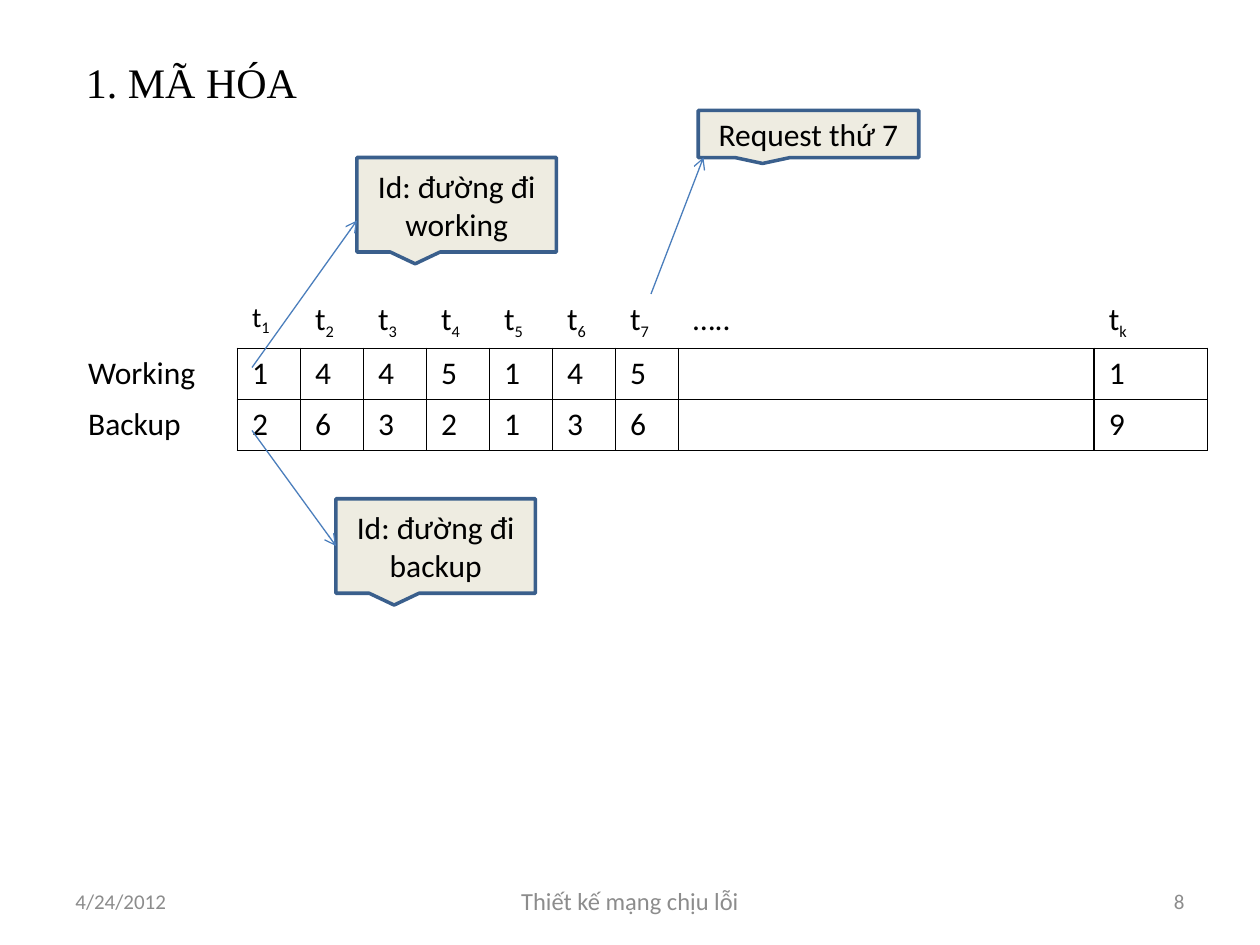
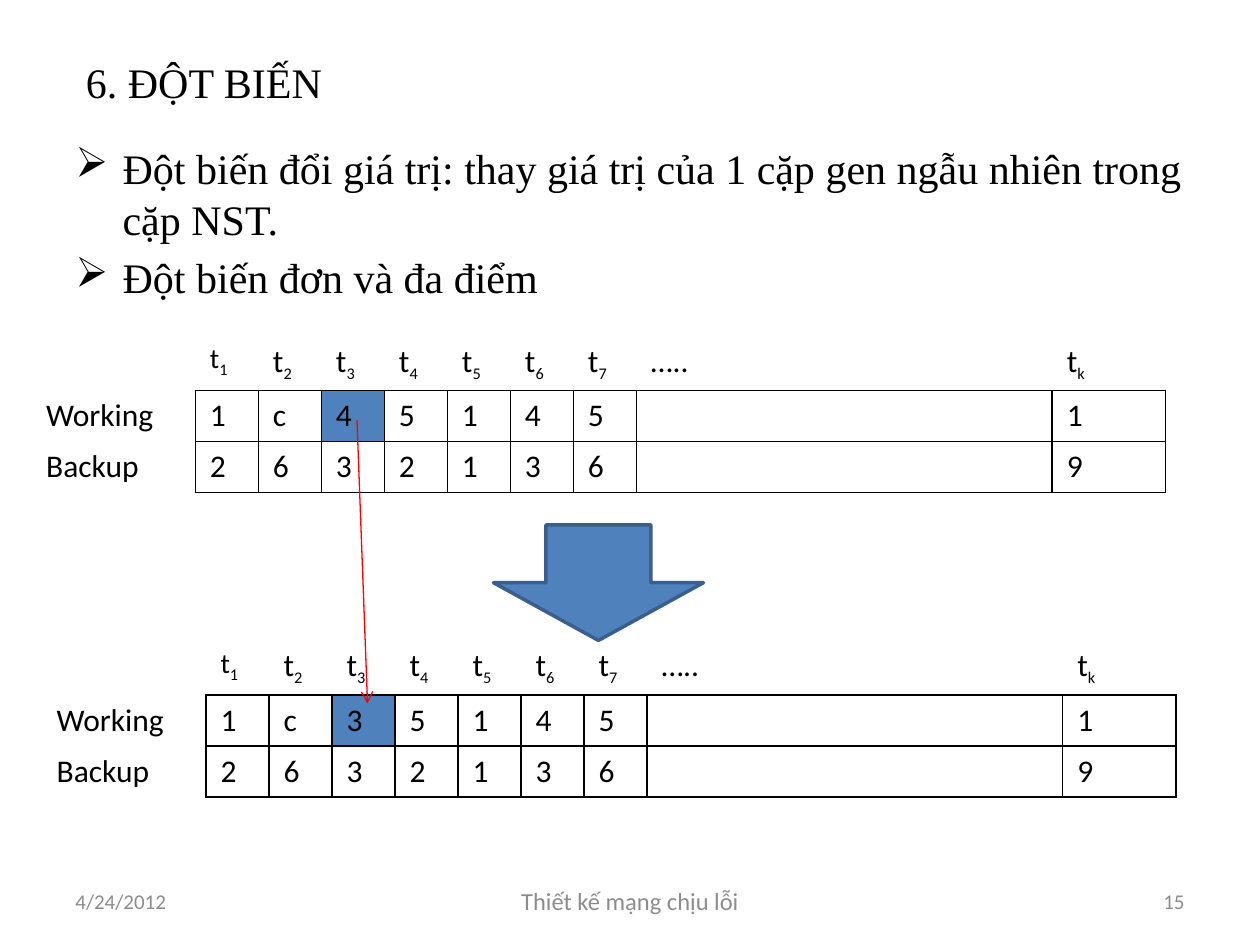
"""Builds two slides on path encoding and mutation for fault-tolerant network design."""
from lxml import etree
from pptx import Presentation
from pptx.dml.color import RGBColor
from pptx.enum.shapes import MSO_CONNECTOR as CONN, MSO_SHAPE as SHAPE
from pptx.enum.text import MSO_ANCHOR as ANCHOR, PP_ALIGN as ALIGN
from pptx.oxml.ns import qn
from pptx.util import Pt

rgb = RGBColor.from_string
BLACK, GREY, RED = "000000", "8C8C8C", "FF0000"
BLUE, NAVY, LINE_BLUE, CREAM = "4F81BD", "3A5F8C", "4B7EBC", "EEECE1"
SERIF, SANS = "Times New Roman", "Calibri"
NO_GRID_STYLE = "{2D5ABB26-0587-4C30-8999-92F81FD0307C}"

COL_WIDTHS = [93.6] + [36] * 7 + [237.6, 64.8]
ROW_HEIGHT = 29.2
HEADER = ["", "t1", "t2", "t3", "t4", "t5", "t6", "t7", "…..", "tk"]
BACKUP = ["Backup", "2", "6", "3", "2", "1", "3", "6", "", "9"]
FOOTERS_TOP, FOOTERS_HEIGHT = 500.4, 28.8

SLIDES = [
    dict(
        title="1. MÃ HÓA", number="8", body="",
        tables=[(42, 168, "44", None)],
        shapes=[
            (SHAPE.RECTANGULAR_CALLOUT, 204, 90, 114, 54, CREAM, "Id: đường đi working"),
            (SHAPE.RECTANGULAR_CALLOUT, 192, 285, 114, 54, CREAM, "Id: đường đi backup"),
            (SHAPE.RECTANGULAR_CALLOUT, 399, 63, 126, 27, CREAM, "Request thứ 7"),
        ],
        arrows=[
            (144, 210, 204, 126, LINE_BLUE, None),
            (144, 246, 192, 312, LINE_BLUE, 1),
            (372, 168, 402, 90, LINE_BLUE, None),
        ],
    ),
    dict(
        title="6. ĐỘT BIẾN", number="15",
        body="Đột biến đổi giá trị: thay giá trị của 1 cặp gen ngẫu nhiên trong cặp NST.\n"
             "Đột biến đơn và đa điểm",
        tables=[(18, 192, "c4", 3), (24, 366, "c3", 3)],
        shapes=[(SHAPE.DOWN_ARROW, 282, 300, 120, 66, BLUE, "")],
        arrows=[(204, 240, 210, 402, RED, None)],
    ),
]


def style_text(tf, text, size, font=SANS, color=BLACK, align=ALIGN.LEFT, anchor=ANCHOR.MIDDLE):
    tf.text = text
    tf.word_wrap = True
    tf.vertical_anchor = anchor
    for p in tf.paragraphs:
        p.alignment = align
        for r in p.runs:
            r.font.size, r.font.name = Pt(size), font
            r.font.color.rgb = rgb(color)


def add_text(s, box, text, size, **style):
    tf = s.shapes.add_textbox(*map(Pt, box)).text_frame
    style_text(tf, text, size, **style)
    return tf


prs = Presentation()
prs.slide_width, prs.slide_height = Pt(720), Pt(540)

for content in SLIDES:
    s = prs.slides.add_slide(prs.slide_layouts[6])
    add_text(s, (42, 21.6, 642, 50.4), content["title"], 24, font=SERIF)

    if content["body"]:
        tf = add_text(s, (36, 78, 648, 114), content["body"], 24, font=SERIF, anchor=ANCHOR.TOP)
        for p in tf.paragraphs:
            p.space_before = Pt(4.8)
            pPr = p._p.get_or_add_pPr()
            pPr.set("marL", str(Pt(27)))
            pPr.set("indent", str(-Pt(27)))
            etree.SubElement(pPr, qn("a:buChar")).set("char", "➢")

    for left, width, text, size, align in [
        (36, 168, "4/24/2012", 12, ALIGN.LEFT),
        (246, 228, "Thiết kế mạng chịu lỗi", 14, ALIGN.CENTER),
        (516, 168, content["number"], 12, ALIGN.RIGHT),
    ]:
        add_text(s, (left, FOOTERS_TOP, width, FOOTERS_HEIGHT), text, size, color=GREY, align=align)

    for left, top, genes, marked_col in content["tables"]:
        working = ["Working", "1", *genes, "5", "1", "4", "5", "", "1"]
        rows = [HEADER, working, BACKUP]
        frame = s.shapes.add_table(3, len(HEADER), Pt(left), Pt(top),
                                   Pt(sum(COL_WIDTHS)), Pt(3 * ROW_HEIGHT))
        table = frame.table
        table.first_row = table.horz_banding = False
        table._tbl.tblPr.find(qn("a:tableStyleId")).text = NO_GRID_STYLE
        for col, width in zip(table.columns, COL_WIDTHS):
            col.width = Pt(width)
        for i, row in enumerate(rows):
            table.rows[i].height = Pt(ROW_HEIGHT)
            for j, text in enumerate(row):
                cell = table.cell(i, j)
                cell.margin_left = cell.margin_right = Pt(8.4)
                p = cell.text_frame.paragraphs[0]
                for k, part in enumerate(text if i == 0 and text[:1] == "t" else [text]):
                    r = p.add_run()
                    r.text = part
                    r.font.name = SANS
                    r.font.size = Pt(16 if k or text == "t1" else 18)
                    r.font.color.rgb = rgb(BLACK)
                    if k:
                        r._r.get_or_add_rPr().set("baseline", "-25000")
                sides = ("LRTB" if j else "R") if i else ("B" if j else "")
                tcPr = cell._tc.get_or_add_tcPr()
                for side in sides:
                    ln = etree.SubElement(tcPr, qn("a:ln" + side), w=str(Pt(1)))
                    fill = etree.SubElement(ln, qn("a:solidFill"))
                    etree.SubElement(fill, qn("a:srgbClr"), val=BLACK)
                if i == 1 and j == marked_col:
                    cell.fill.solid()
                    cell.fill.fore_color.rgb = rgb(BLUE)
                else:
                    cell.fill.background()

    drawn = []
    for kind, left, top, width, height, color, text in content["shapes"]:
        sp = s.shapes.add_shape(kind, Pt(left), Pt(top), Pt(width), Pt(height))
        sp.shadow.inherit = False
        sp.fill.solid()
        sp.fill.fore_color.rgb = rgb(color)
        sp.line.color.rgb = rgb(NAVY)
        sp.line.width = Pt(2)
        style_text(sp.text_frame, text, 18, align=ALIGN.CENTER)
        drawn.append(sp)

    for x1, y1, x2, y2, color, target in content["arrows"]:
        arrow = s.shapes.add_connector(CONN.STRAIGHT, Pt(x1), Pt(y1), Pt(x2), Pt(y2))
        if target is not None:
            arrow.end_connect(drawn[target], 1)
        arrow.line.color.rgb = rgb(color)
        arrow.line.width = Pt(0.75)
        etree.SubElement(arrow.line._get_or_add_ln(), qn("a:tailEnd"), type="arrow")
        etree.SubElement(arrow._element.spPr, qn("a:effectLst"))

prs.save("out.pptx")
